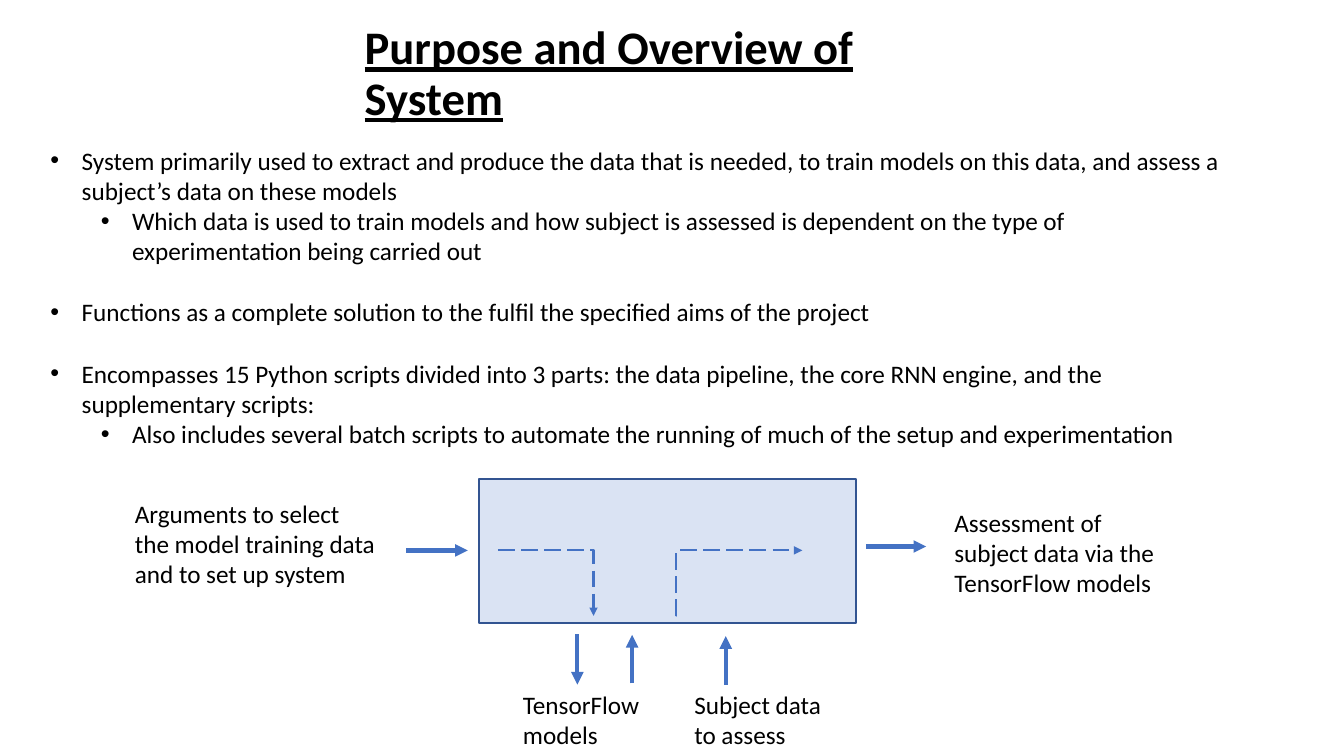
from lxml import etree
from pptx import Presentation
from pptx.dml.color import RGBColor
from pptx.enum.dml import MSO_LINE
from pptx.enum.shapes import MSO_CONNECTOR, MSO_SHAPE
from pptx.enum.text import MSO_ANCHOR, MSO_AUTO_SIZE
from pptx.oxml.ns import qn
from pptx.util import Cm, Pt

RECTANGLE = MSO_SHAPE.RECTANGLE
STRAIGHT, ELBOW = MSO_CONNECTOR.STRAIGHT, MSO_CONNECTOR.ELBOW
LONG_DASH = MSO_LINE.LONG_DASH
MIDDLE = MSO_ANCHOR.MIDDLE
GROW = MSO_AUTO_SIZE.SHAPE_TO_FIT_TEXT

BLACK, BLUE, NAVY, PALE = "000000", "4472C4", "325491", "DAE3F3"
BODY_FONT = {"name": "Calibri", "size": Pt(18)}
TITLE_FONT = {"name": "Calibri", "size": Pt(33.3), "bold": True, "underline": True}

POINTS = [
    (0, 0, "System primarily used to extract and produce the data that is needed, "
           "to train models on this data, and assess a subject’s data on these models"),
    (1, 0, "Which data is used to train models and how subject is assessed is "
           "dependent on the type of experimentation being carried out"),
    (0, 22, "Functions as a complete solution to the fulfil the specified aims of the project"),
    (0, 22, "Encompasses 15 Python scripts divided into 3 parts: the data pipeline, "
            "the core RNN engine, and the supplementary scripts:"),
    (1, 0, "Also includes several batch scripts to automate the running of much of "
           "the setup and experimentation"),
]
LABELS = [
    ("Arguments to select the model training data and to set up system",
     (3.15, 12.42, 6.65, 2.57)),
    ("TensorFlow models", (12.93, 17.25, 3.56, 1.8)),
    ("Subject data to assess", (17.25, 17.25, 3.78, 1.8)),
    ("Assessment of subject data via the TensorFlow models", (23.8, 12.65, 5.74, 2.57)),
]
FLOWS = [
    (14.55, 15.98, 14.55, 17.25),
    (15.93, 17.22, 15.93, 16),
    (18.29, 17.25, 18.29, 16.03),
    (10.24, 13.87, 11.79, 13.87),
    (21.82, 13.77, 23.34, 13.77),
]
INNER_FLOWS = [
    ((12.55, 13.87, 14.96, 15.52), 99900),
    ((17.04, 15.52, 20.22, 13.87), 200),
]


def colour(code):
    return RGBColor.from_string(code)


def lengths(values):
    return [Cm(value) for value in values]


def apply(target, values):
    for key, value in values.items():
        setattr(target, key, value)


def add_frame(slide, place, **frame_format):
    frame = slide.shapes.add_textbox(*lengths(place)).text_frame
    apply(frame, {"word_wrap": True, **frame_format})
    return frame


def write(paragraph, text, font_format):
    run = paragraph.add_run()
    run.text = text
    apply(run.font, font_format)
    run.font.color.rgb = colour(BLACK)


def add_bullet(paragraph, level):
    paragraph.level = level
    props = paragraph._p.get_or_add_pPr()
    props.set("marL", str(Cm(0.79 + 1.27 * level)))
    props.set("indent", str(-Cm(0.79)))
    etree.SubElement(props, qn("a:buFont"), typeface="Arial")
    etree.SubElement(props, qn("a:buChar"), char="•")


def add_title(slide, text, place):
    paragraph = add_frame(slide, place, vertical_anchor=MIDDLE).paragraphs[0]
    paragraph.line_spacing = 0.9
    write(paragraph, text, TITLE_FONT)


def add_points(slide, points, place):
    frame = add_frame(slide, place, auto_size=GROW)
    for index, (level, gap, text) in enumerate(points):
        paragraph = frame.add_paragraph() if index else frame.paragraphs[0]
        paragraph.space_before = Pt(gap)
        add_bullet(paragraph, level)
        write(paragraph, text, BODY_FONT)


def add_label(slide, text, place):
    write(add_frame(slide, place, auto_size=GROW).paragraphs[0], text, BODY_FONT)


def add_system_box(slide, place):
    box = slide.shapes.add_shape(RECTANGLE, *lengths(place))
    box.shadow.inherit = False
    box.fill.solid()
    box.fill.fore_color.rgb = colour(PALE)
    box.line.color.rgb = colour(NAVY)
    box.line.width = Pt(1)


def add_arrow(slide, ends, kind=STRAIGHT, **line_format):
    arrow = slide.shapes.add_connector(kind, *lengths(ends))
    arrow.line.color.rgb = colour(BLUE)
    apply(arrow.line, line_format)
    etree.SubElement(arrow.line._get_or_add_ln(), qn("a:tailEnd"), type="triangle")
    etree.SubElement(arrow._element.spPr, qn("a:effectLst"))
    return arrow


def add_inner_flow(slide, ends, bend):
    arrow = add_arrow(slide, ends, ELBOW, width=Pt(1.5), dash_style=LONG_DASH)
    guides = arrow._element.spPr.find(qn("a:prstGeom")).find(qn("a:avLst"))
    etree.SubElement(guides, qn("a:gd"), name="adj1", fmla=f"val {bend}")


def main():
    deck = Presentation()
    apply(deck, {"slide_width": Cm(33.87), "slide_height": Cm(19.05)})
    slide = deck.slides.add_slide(deck.slide_layouts[6])
    add_title(slide, "Purpose and Overview of System", (8.94, 0.81, 16, 2.16))
    add_points(slide, POINTS, (1.02, 3.53, 30.48, 7.95))
    add_system_box(slide, (12.07, 12.07, 9.5, 3.63))
    for text, place in LABELS:
        add_label(slide, text, place)
    for ends in FLOWS:
        add_arrow(slide, ends, width=Pt(3))
    for ends, bend in INNER_FLOWS:
        add_inner_flow(slide, ends, bend)
    deck.save("out.pptx")


main()
